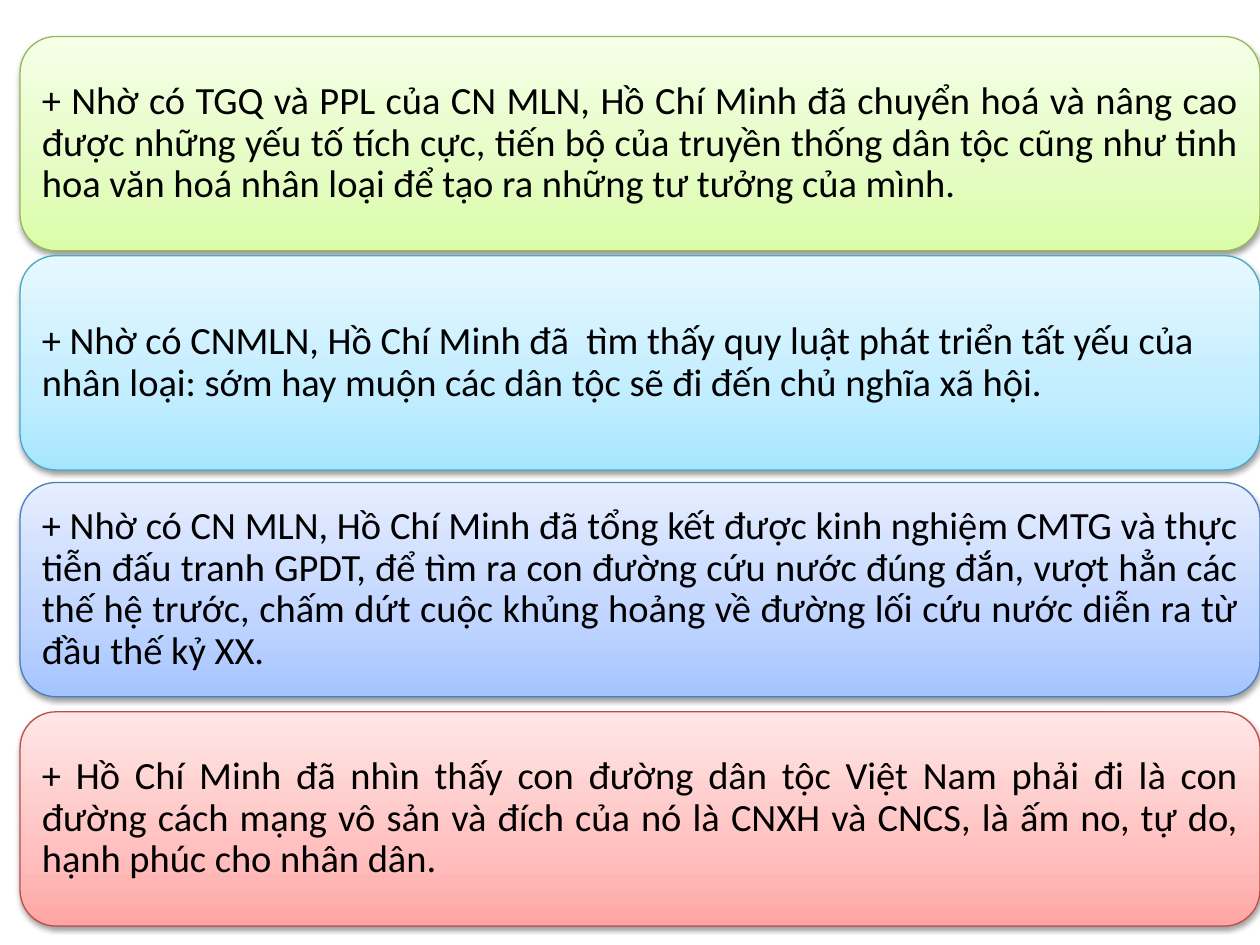
from copy import deepcopy

from lxml.etree import SubElement
from pptx import Presentation
from pptx.dml.color import RGBColor
from pptx.enum.shapes import MSO_SHAPE as Shape
from pptx.enum.text import MSO_ANCHOR as Anchor, PP_ALIGN as Align
from pptx.oxml.ns import qn
from pptx.util import Inches, Pt


def color(value):
    return RGBColor.from_string(value)


def add_shadow(shape):
    shape.shadow.inherit = False
    effects = shape._element.spPr.find(qn("a:effectLst"))
    shadow = SubElement(effects, qn("a:outerShdw"), blurRad="40000", dist="20000",
                        dir="5400000", rotWithShape="0")
    black = SubElement(shadow, qn("a:srgbClr"), val="000000")
    SubElement(black, qn("a:alpha"), val="38000")


presentation = Presentation()
presentation.slide_width = Inches(10)
presentation.slide_height = Inches(7.5)
slide = presentation.slides.add_slide(presentation.slide_layouts[6])

stop_positions = [0, 0.35, 1]
inset = Inches(0.09)
frame_format = {
    "word_wrap": True,
    "vertical_anchor": Anchor.MIDDLE,
    "margin_left": inset,
    "margin_right": inset,
    "margin_top": inset,
    "margin_bottom": inset,
}
font_format = {"name": "Calibri", "size": Pt(22)}

panels = [
    (0.29, ["DAFDA7", "E4FCC2", "F5FFE7"], "98B955", Align.JUSTIFY,
     "+ Nhờ có TGQ và PPL của CN MLN, Hồ Chí Minh đã chuyển hoá và nâng cao "
     "được những yếu tố tích cực, tiến bộ của truyền thống dân tộc cũng như tinh "
     "hoa văn hoá nhân loại để tạo ra những tư tưởng của mình."),
    (2.03, ["A7E6FF", "C1EDFF", "E7F8FF"], "46AAC5", Align.LEFT,
     "+ Nhờ có CNMLN, Hồ Chí Minh đã  tìm thấy quy luật phát triển tất yếu của "
     "nhân loại: sớm hay muộn các dân tộc sẽ đi đến chủ nghĩa xã hội."),
    (3.83, ["A4C4FF", "BFD4FF", "E6EEFF"], "4B7EBC", Align.JUSTIFY,
     "+ Nhờ có CN MLN, Hồ Chí Minh đã tổng kết được kinh nghiệm CMTG và thực "
     "tiễn đấu tranh GPDT, để tìm ra con đường cứu nước đúng đắn, vượt hẳn các "
     "thế hệ trước, chấm dứt cuộc khủng hoảng về đường lối cứu nước diễn ra từ "
     "đầu thế kỷ XX."),
    (5.65, ["FFA6A5", "FFC0BF", "FFE7E7"], "BF4C48", Align.JUSTIFY,
     "+ Hồ Chí Minh đã nhìn thấy con đường dân tộc Việt Nam phải đi là con "
     "đường cách mạng vô sản và đích của nó là CNXH và CNCS, là ấm no, tự do, "
     "hạnh phúc cho nhân dân."),
]

for top, gradient_colors, line_color, alignment, text in panels:
    panel = slide.shapes.add_shape(Shape.ROUNDED_RECTANGLE, Inches(0.16), Inches(top),
                                   Inches(9.84), Inches(1.7))
    panel.fill.gradient()
    panel.fill.gradient_angle = 90
    stop_list = panel._element.spPr.find(qn("a:gradFill")).find(qn("a:gsLst"))
    stop_list.append(deepcopy(stop_list[0]))
    for stop, position, value in zip(panel.fill.gradient_stops, stop_positions, gradient_colors):
        stop.position = position
        stop.color.rgb = color(value)
    panel.line.color.rgb = color(line_color)
    panel.line.width = Pt(0.75)
    add_shadow(panel)

    frame = panel.text_frame
    for name, value in frame_format.items():
        setattr(frame, name, value)
    paragraph = frame.paragraphs[0]
    paragraph.alignment = alignment
    paragraph.line_spacing = 0.9
    run = paragraph.add_run()
    run.text = text
    for name, value in font_format.items():
        setattr(run.font, name, value)
    run.font.color.rgb = color("000000")

presentation.save("out.pptx")
